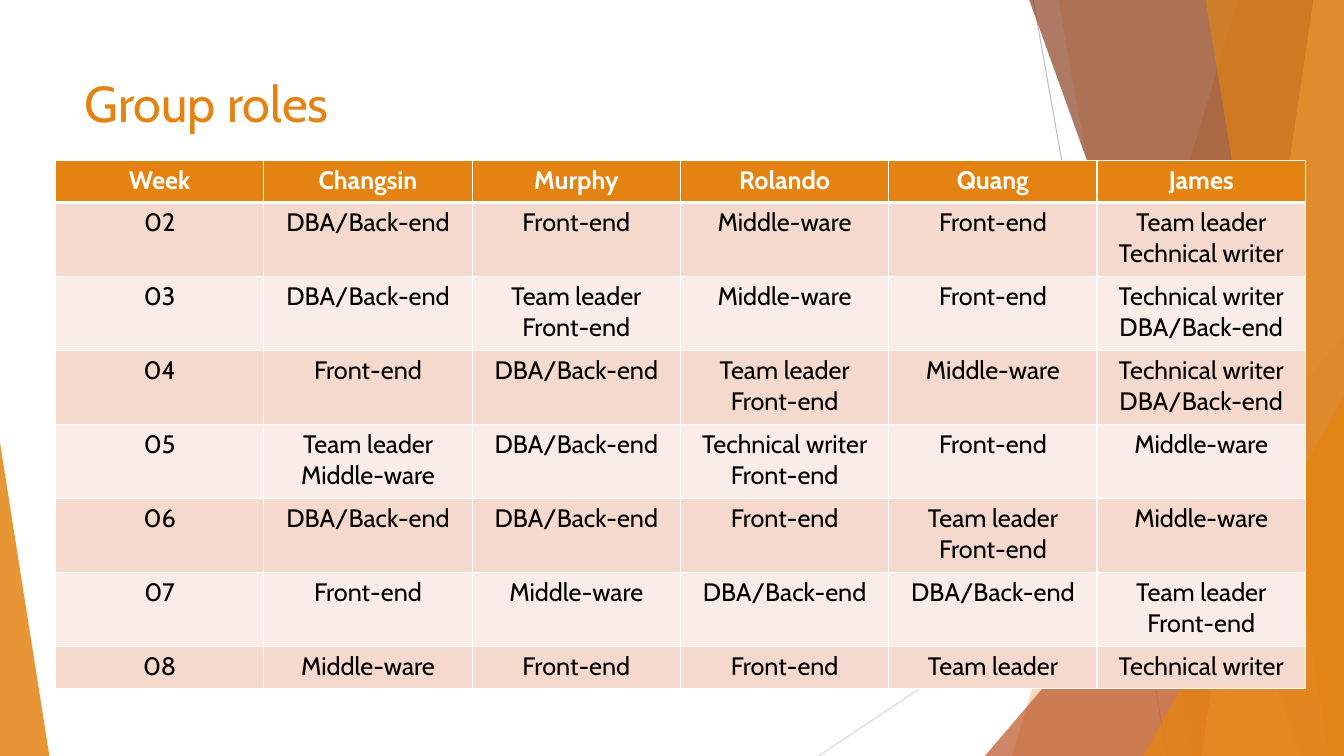
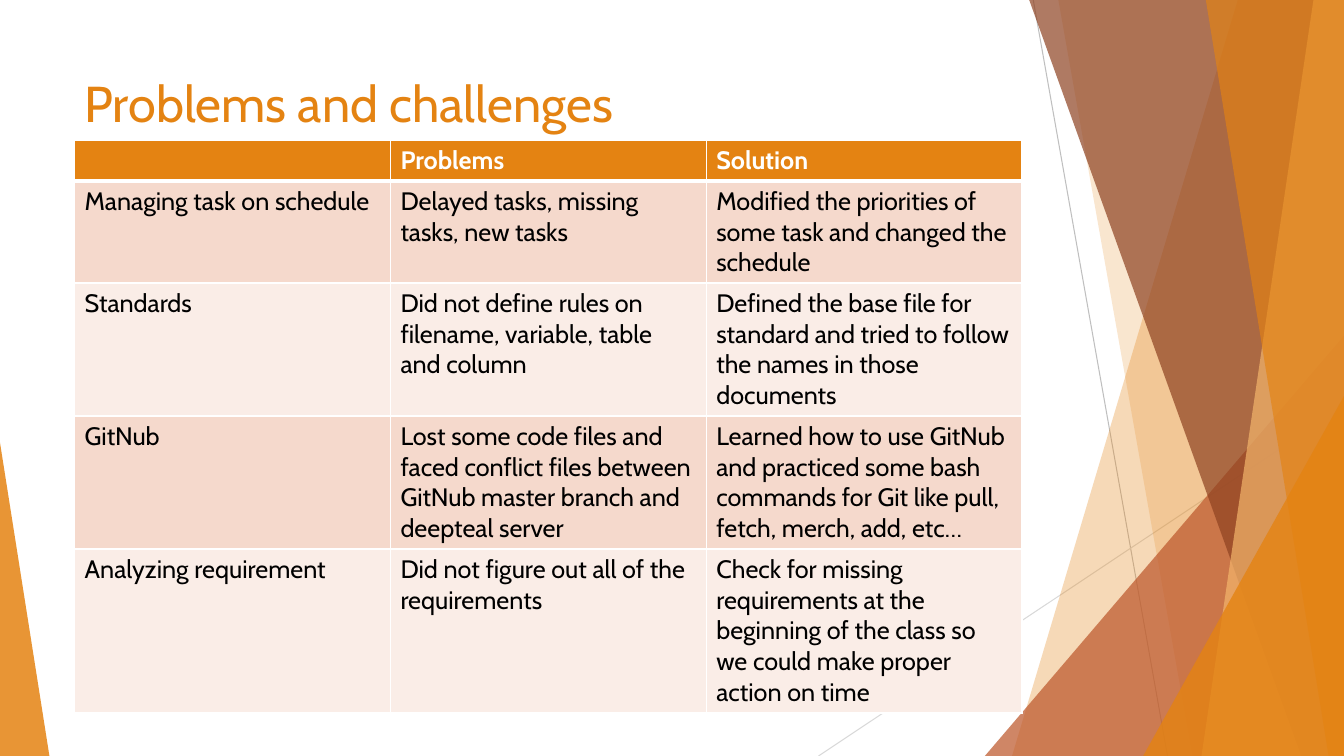
from dataclasses import dataclass

from lxml import etree
from pptx import Presentation
from pptx.dml.color import RGBColor
from pptx.enum.shapes import MSO_CONNECTOR, MSO_SHAPE
from pptx.enum.text import MSO_ANCHOR, PP_ALIGN
from pptx.oxml.ns import qn
from pptx.util import Emu, Inches, Pt

LEFT, CENTER = PP_ALIGN.LEFT, PP_ALIGN.CENTER
TOP = MSO_ANCHOR.TOP
TRIANGLE = MSO_SHAPE.ISOSCELES_TRIANGLE
STRAIGHT = MSO_CONNECTOR.STRAIGHT


@dataclass(frozen=True)
class Theme:
    font: str = "Cabin"
    title_size: int = 36
    table_size: int = 18
    accent: str = "E48312"
    rust: str = "BD582C"
    brown: str = "8E4221"
    light_orange: str = "F3B56C"
    row_tints: tuple = ("F5D9CC", "FAEDE7")
    text: str = "000000"
    white: str = "FFFFFF"
    line_gray: str = "BFBFBF"
    pale_gray: str = "D9D9D9"


theme = Theme()
presentation = Presentation()
presentation.slide_width = Inches(13.333)
presentation.slide_height = Inches(7.5)
blank_layout = presentation.slide_layouts[6]


def place(*shares):
    """Turn alternating x and y percentages of the slide into lengths."""
    sides = (presentation.slide_width, presentation.slide_height)
    return [Emu(round(share * sides[index % 2] / 100))
            for index, share in enumerate(shares)]


def write(paragraph, text, size, color, bold=False, align=LEFT):
    paragraph.alignment = align
    run = paragraph.add_run()
    run.text = text
    font_values = {"name": theme.font, "size": Pt(size), "bold": bold}
    for name, value in font_values.items():
        setattr(run.font, name, value)
    run.font.color.rgb = RGBColor.from_string(color)


# Shared decoration, in percent of the slide
thin_lines = [
    ((76.88, 0, 86.87, 100), theme.line_gray),
    ((100, 53.73, 60.9, 100), theme.pale_gray),
]
# A band has its left edge at top and bottom; a triangle has a box and its peak
decorations = [
    ("band", (92.1, 75.3), theme.accent, 30),
    ("band", (78.75, 88.73), theme.accent, 20),
    ("triangle", (73.28, 44.4, 26.72, 55.6, 1), theme.rust, 72),
    ("band", (76.58, 96.83), theme.brown, 70),
    ("band", (97.73, 89.4), theme.light_orange, 70),
    ("band", (89.72, 98.86), theme.accent, 65),
    ("triangle", (85.06, 52.4, 14.94, 47.6, 1), theme.accent, 80),
    ("triangle", (0, 58.53, 3.68, 41.47, 0), theme.accent, 85),
]

# Slide content; a line break in a cell starts a new paragraph
DATABASE, FRONT, MIDDLE = "DBA/Back-end", "Front-end", "Middle-ware"
LEADER, WRITER = "Team leader", "Technical writer"
slides = [
    {
        "title": "Group roles",
        "box": (4.13, 21.2, 93),
        "align": CENTER,
        "heights": [5.6] + [9.78] * 6 + [5.6],
        "rows": [
            ("Week", "Changsin", "Murphy", "Rolando", "Quang", "James"),
            ("02", DATABASE, FRONT, MIDDLE, FRONT, f"{LEADER}\n{WRITER}"),
            ("03", DATABASE, f"{LEADER}\n{FRONT}", MIDDLE, FRONT,
             f"{WRITER}\n{DATABASE}"),
            ("04", FRONT, DATABASE, f"{LEADER}\n{FRONT}", MIDDLE,
             f"{WRITER}\n{DATABASE}"),
            ("05", f"{LEADER}\n{MIDDLE}", DATABASE, f"{WRITER}\n{FRONT}",
             FRONT, MIDDLE),
            ("06", DATABASE, DATABASE, FRONT, f"{LEADER}\n{FRONT}", MIDDLE),
            ("07", FRONT, MIDDLE, DATABASE, DATABASE, f"{LEADER}\n{FRONT}"),
            ("08", MIDDLE, FRONT, FRONT, LEADER, WRITER),
        ],
    },
    {
        "title": "Problems and challenges",
        "box": (5.55, 18.53, 70.5),
        "align": LEFT,
        "heights": [5.4, 13.5, 17.6, 17.6, 21.7],
        "rows": [
            ("", "Problems", "Solution"),
            ("Managing task on schedule",
             "Delayed tasks, missing tasks, new tasks",
             "Modified the priorities of some task and changed the schedule"),
            ("Standards",
             "Did not define rules on filename, variable, table and column",
             "Defined the base file for standard and tried to follow the "
             "names in those documents"),
            ("GitNub",
             "Lost some code files and faced conflict files between GitNub "
             "master branch and deepteal server",
             "Learned how to use GitNub and practiced some bash commands for "
             "Git like pull, fetch, merch, add, etc…"),
            ("Analyzing requirement",
             "Did not figure out all of the requirements",
             "Check for missing requirements at the beginning of the class "
             "so we could make proper action on time"),
        ],
    },
]

for content in slides:
    slide = presentation.slides.add_slide(blank_layout)
    shapes = slide.shapes

    # Thin crossing lines
    for ends, color in thin_lines:
        connector = shapes.add_connector(STRAIGHT, *place(*ends))
        connector.line.color.rgb = RGBColor.from_string(color)
        connector.line.width = Pt(0.75)
        etree.SubElement(connector._element.spPr, qn("a:effectLst"))

    # Translucent bands and triangles
    for kind, geometry, color, opacity in decorations:
        if kind == "band":
            top_edge, bottom_edge = geometry
            corners = [place(*corner) for corner in (
                (top_edge, 0), (100, 0), (100, 100), (bottom_edge, 100))]
            builder = shapes.build_freeform(*corners[0])
            builder.add_line_segments(corners[1:], close=True)
            shape = builder.convert_to_shape()
        else:
            *box, peak = geometry
            shape = shapes.add_shape(TRIANGLE, *place(*box))
            shape.adjustments[0] = peak
        shape.shadow.inherit = False
        shape.fill.solid()
        shape.fill.fore_color.rgb = RGBColor.from_string(color)
        shape.line.fill.background()
        fill_color = shape._element.spPr.find(
            f"{qn('a:solidFill')}/{qn('a:srgbClr')}")
        etree.SubElement(fill_color, qn("a:alpha"), val=str(opacity * 1000))

    # Title
    title_frame = shapes.add_textbox(*place(5.55, 8.93, 70.5, 19.2)).text_frame
    title_frame.word_wrap = True
    title_frame.vertical_anchor = TOP
    write(title_frame.paragraphs[0], content["title"], theme.title_size,
          theme.accent)

    # Table with equal columns
    rows, heights = content["rows"], content["heights"]
    table_box = place(*content["box"], sum(heights))
    table = shapes.add_table(len(rows), len(rows[0]), *table_box).table
    for column in table.columns:
        column.width = Emu(round(table_box[2] / len(rows[0])))
    for row_index, (texts, height) in enumerate(zip(rows, heights)):
        table.rows[row_index].height = place(0, height)[1]
        is_header = row_index == 0
        fill = theme.accent if is_header else theme.row_tints[(row_index - 1) % 2]
        text_color = theme.white if is_header else theme.text
        # The rule under the header is heavier than the other borders
        borders = {"a:lnL": 1, "a:lnR": 1,
                   "a:lnT": 3 if row_index == 1 else 1,
                   "a:lnB": 3 if is_header else 1}
        for column_index, text in enumerate(texts):
            cell = table.cell(row_index, column_index)
            properties = cell._tc.get_or_add_tcPr()
            for tag, width in borders.items():
                border = etree.SubElement(properties, qn(tag), w=str(Pt(width)))
                border_fill = etree.SubElement(border, qn("a:solidFill"))
                etree.SubElement(border_fill, qn("a:srgbClr"), val=theme.white)
            cell.fill.solid()
            cell.fill.fore_color.rgb = RGBColor.from_string(fill)
            for line_index, line in enumerate(text.splitlines()):
                frame = cell.text_frame
                paragraph = frame.add_paragraph() if line_index else frame.paragraphs[0]
                write(paragraph, line, theme.table_size, text_color,
                      is_header, content["align"])

presentation.save("out.pptx")
